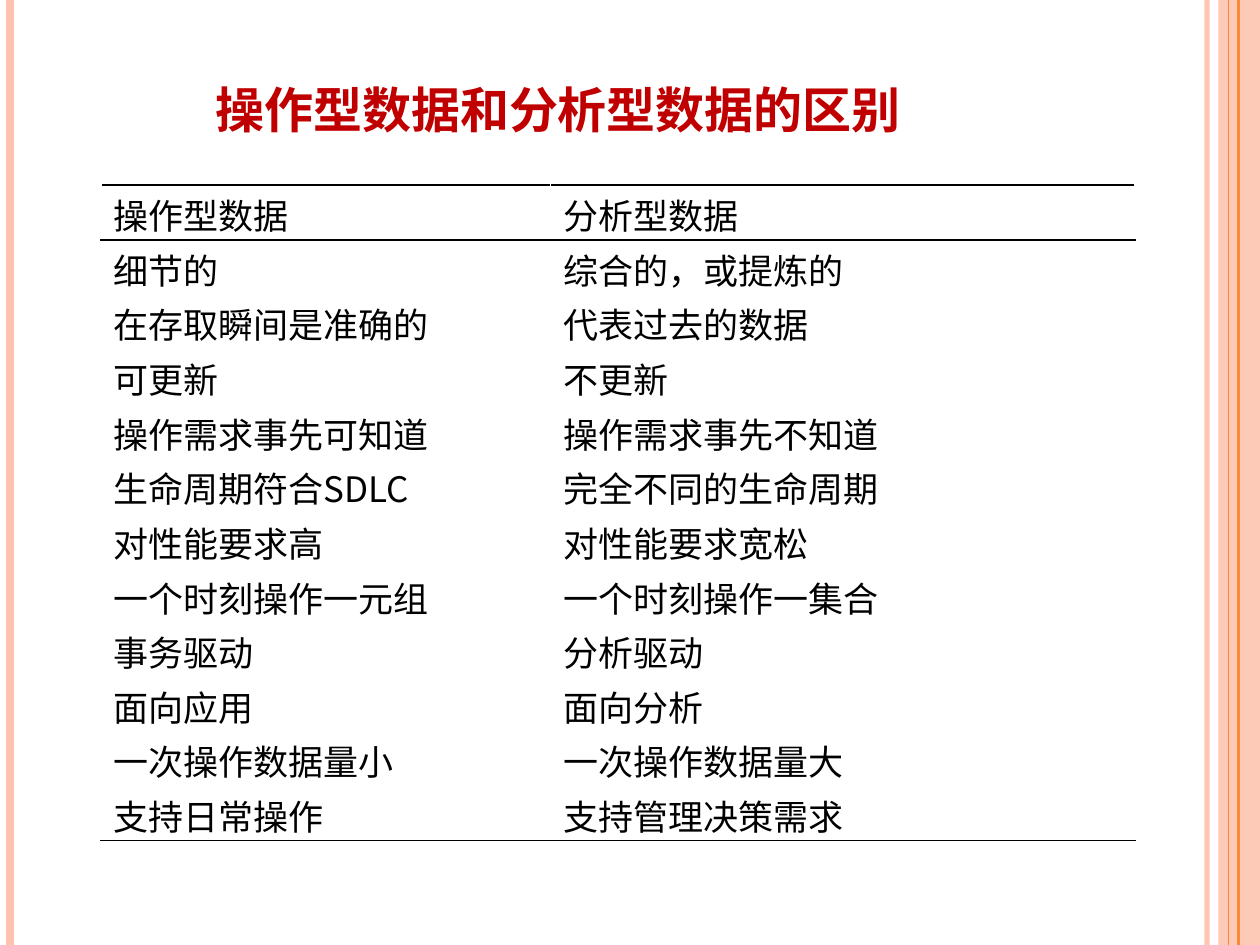
from lxml import etree
from pptx import Presentation
from pptx import util as u
from pptx.dml.color import RGBColor
from pptx.enum import shapes, text
from pptx.oxml import ns

WIDTH, HEIGHT = 10, 7.5
FONT = "Noto Sans CJK SC"
PEACH, ORANGE, RED, BLACK, WHITE = "FEC3AE", "FE8637", "C00000", "000000", "FFFFFF"
TITLE = "操作型数据和分析型数据的区别"
COLUMNS = [3.57, 4.64]
ROWS = [
    ("操作型数据", "分析型数据"),
    ("细节的", "综合的，或提炼的"),
    ("在存取瞬间是准确的", "代表过去的数据"),
    ("可更新", "不更新"),
    ("操作需求事先可知道", "操作需求事先不知道"),
    ("生命周期符合SDLC", "完全不同的生命周期"),
    ("对性能要求高", "对性能要求宽松"),
    ("一个时刻操作一元组", "一个时刻操作一集合"),
    ("事务驱动", "分析驱动"),
    ("面向应用", "面向分析"),
    ("一次操作数据量小", "一次操作数据量大"),
    ("支持日常操作", "支持管理决策需求"),
]
STRIPES = [
    (9.58, PEACH, 3, 93),
    (0.08, PEACH, 4.5, 100),
    (9.83, ORANGE, 1.5, 100),
    (9.75, ORANGE, 0.75, 100),
]


def color(value):
    return RGBColor.from_string(value)


def add_child(parent, tag, **attributes):
    return etree.SubElement(parent, ns.qn(tag), attributes)


def set_opacity(properties, percent):
    fill = next(properties.iter(ns.qn("a:srgbClr")))
    add_child(fill, "a:alpha", val=str(percent * 1000))


def add_stripe(page, x, shade, weight, opacity):
    stripe = page.shapes.add_connector(
        shapes.MSO_CONNECTOR.STRAIGHT, u.Inches(x), 0, u.Inches(x), u.Inches(HEIGHT)
    )
    stripe.line.color.rgb = color(shade)
    stripe.line.width = u.Pt(weight)
    properties = stripe.element.spPr
    if opacity < 100:
        set_opacity(properties, opacity)
    add_child(properties, "a:effectLst")


def add_band(page, x):
    band = page.shapes.add_shape(
        shapes.MSO_SHAPE.RECTANGLE,
        u.Inches(x), 0, u.Inches(WIDTH - x), u.Inches(HEIGHT),
    )
    band.shadow.inherit = False
    band.fill.solid()
    band.fill.fore_color.rgb = color(PEACH)
    set_opacity(band.element.spPr, 87)
    band.line.fill.background()


def add_span(para, words, size, shade, bold=False):
    para.alignment = text.PP_ALIGN.LEFT
    span = para.add_run()
    span.text = words
    span.font.size = u.Pt(size)
    span.font.bold = bold
    span.font.name = FONT
    span.font.color.rgb = color(shade)
    add_child(span.font._element, "a:ea", typeface=FONT)


def set_title(page):
    title = page.shapes.title
    title.left, title.top = u.Inches(1.61), u.Inches(0.58)
    title.width, title.height = u.Inches(6.3), u.Inches(0.57)
    box = title.text_frame
    box.word_wrap = True
    box.auto_size = text.MSO_AUTO_SIZE.NONE
    box.vertical_anchor = text.MSO_ANCHOR.MIDDLE
    add_span(box.paragraphs[0], TITLE, 28, RED, bold=True)


def set_borders(cell, top, bottom):
    properties = cell._tc.get_or_add_tcPr()
    sides = [("L", WHITE), ("R", WHITE), ("T", top), ("B", bottom)]
    for place, (side, shade) in enumerate(sides):
        border = etree.Element(ns.qn(f"a:ln{side}"), w=str(u.Pt(1)))
        add_child(add_child(border, "a:solidFill"), "a:srgbClr", val=shade)
        properties.insert(place, border)


def add_comparison(page):
    last = len(ROWS) - 1
    table = page.shapes.add_table(
        len(ROWS), len(COLUMNS), u.Inches(0.8), u.Inches(1.47),
        u.Inches(sum(COLUMNS)), u.Inches(5.2),
    ).table
    table.first_row = table.horz_banding = False
    for column, width in zip(table.columns, COLUMNS):
        column.width = u.Inches(width)
    for row, entries in enumerate(ROWS):
        top = BLACK if row <= 1 else WHITE
        bottom = BLACK if row in (0, last) else WHITE
        for column, words in enumerate(entries):
            cell = table.cell(row, column)
            cell.fill.background()
            cell.margin_top, cell.margin_bottom = u.Inches(0.03), 0
            set_borders(cell, top, bottom)
            add_span(cell.text_frame.paragraphs[0], words, 20, BLACK)


def main():
    deck = Presentation()
    deck.slide_width, deck.slide_height = u.Inches(WIDTH), u.Inches(HEIGHT)
    page = deck.slides.add_slide(deck.slide_layouts.get_by_name("Title Only"))
    page.background.fill.solid()
    page.background.fill.fore_color.rgb = color(WHITE)
    add_band(page, 9.67)
    for stripe in STRIPES:
        add_stripe(page, *stripe)
    set_title(page)
    add_comparison(page)
    deck.save("out.pptx")


if __name__ == "__main__":
    main()
